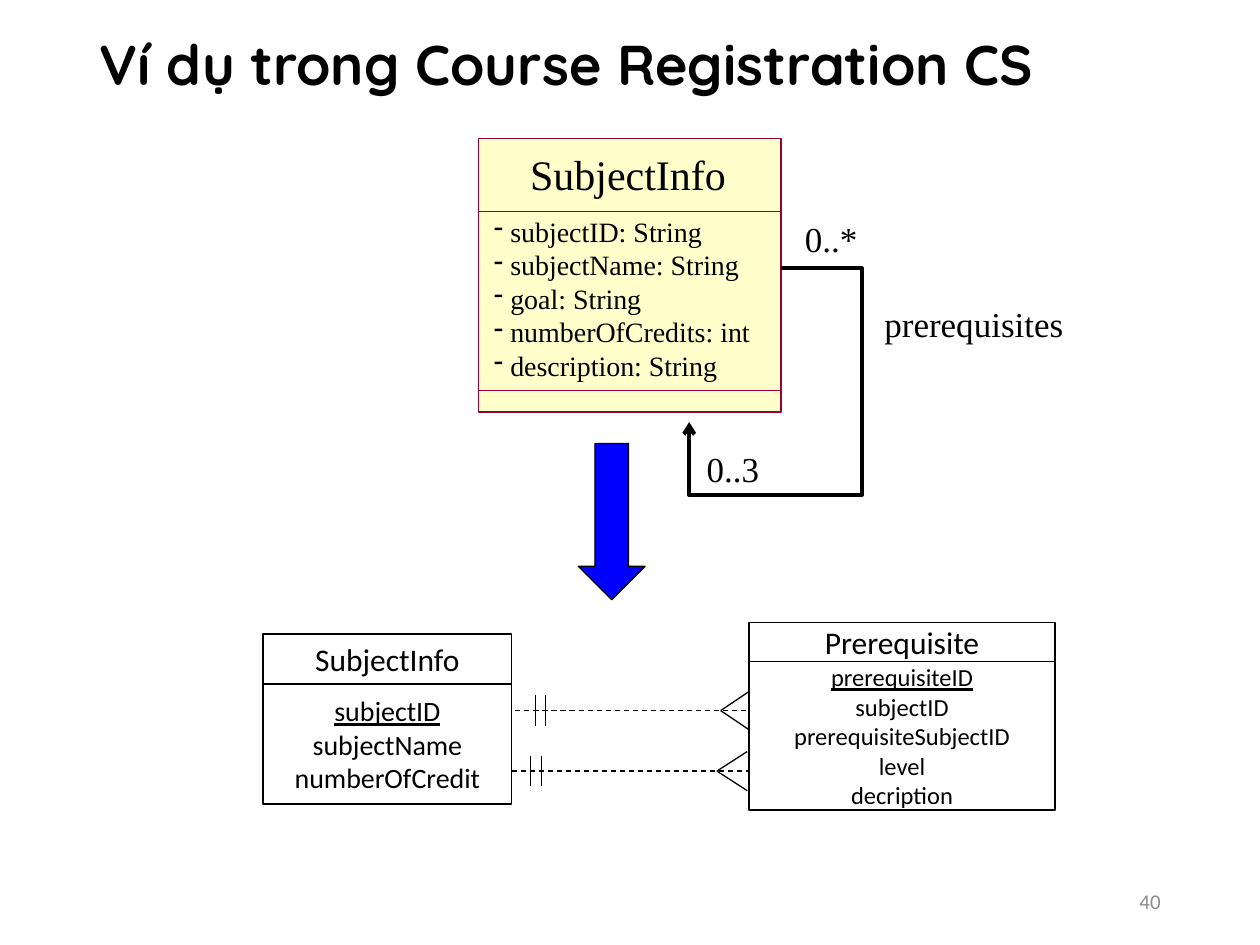
"""Build the slide mapping a self-associated class to two linked entities."""
from dataclasses import dataclass, field
from typing import Any

from pptx import Presentation
from pptx import util as u
from pptx.dml.color import RGBColor
from pptx.enum import dml, shapes, text
from pptx.oxml import ns, xmlchemy

COLUMNS, ROWS = 100, 75
WIDTH, HEIGHT = u.Inches(10), u.Inches(7.5)
BLACK = RGBColor(0x00, 0x00, 0x00)
WHITE = RGBColor(0xFF, 0xFF, 0xFF)
GREY = RGBColor(0x8C, 0x8C, 0x8C)
BLUE = RGBColor(0x00, 0x00, 0xFF)
CREAM = RGBColor(0xFF, 0xFF, 0xCC)
CRIMSON = RGBColor(0x99, 0x00, 0x33)
SANS, SERIF, DISPLAY = "Calibri", "Times New Roman", "Quicksand"
CENTER, RIGHT = text.PP_ALIGN.CENTER, text.PP_ALIGN.RIGHT
MIDDLE = text.MSO_ANCHOR.MIDDLE
RECTANGLE, ARROW = shapes.MSO_SHAPE.RECTANGLE, shapes.MSO_SHAPE.DOWN_ARROW
NO_INSETS = dict.fromkeys(
    ("margin_left", "margin_top", "margin_right", "margin_bottom"), 0)

Point = tuple[float, float]
Area = tuple[float, float, float, float]


@dataclass
class Label:
    area: Area
    lines: list[str]
    font: dict[str, Any]
    paragraph: dict[str, Any] = field(default_factory=dict)
    frame: dict[str, Any] = field(default_factory=dict)
    dashed: bool = False


@dataclass
class Entity:
    area: Area
    header: float
    name: str
    attributes: list[str]
    size: int


@dataclass
class Link:
    row: float
    start: float
    end: float
    apex: float
    foot: float
    ticks: tuple[float, float]


def x(column: float) -> int:
    return round(WIDTH * column / COLUMNS)


def y(row: float) -> int:
    return round(HEIGHT * row / ROWS)


def place(area: Area) -> tuple[int, int, int, int]:
    left, top, width, height = area
    return x(left), y(top), x(width), y(height)


def apply(target: Any, values: dict[str, Any]) -> None:
    for name, value in values.items():
        setattr(target, name, value)


def write(box: Any, lines: list[str], font: dict[str, Any],
          paragraph: dict[str, Any], frame: dict[str, Any],
          underlined: bool = False, dashed: bool = False) -> None:
    body = box.text_frame
    apply(body, {"word_wrap": True, **frame})
    for index, line in enumerate(lines):
        para = body.paragraphs[0] if index == 0 else body.add_paragraph()
        apply(para, paragraph)
        if dashed:
            properties = para._p.get_or_add_pPr()
            properties.set("marL", str(x(1.3)))
            properties.set("indent", str(-x(1.3)))
            bullet = xmlchemy.OxmlElement("a:buChar")
            bullet.set("char", "-")
            properties.append(bullet)
        span = para.add_run()
        span.text = line
        apply(span.font, {key: value for key, value in font.items() if key != "color"})
        span.font.color.rgb = font.get("color", BLACK)
        if underlined and index == 0:
            span.font.underline = True


def draw_label(page: Any, label: Label) -> None:
    box = page.shapes.add_textbox(*place(label.area))
    write(box, label.lines, label.font, label.paragraph, label.frame,
          dashed=label.dashed)


def draw_shape(canvas: Any, kind: Any, area: Area, fill: RGBColor | None,
               color: RGBColor, width: float) -> Any:
    shape = canvas.add_shape(kind, *place(area))
    shape.shadow.inherit = False
    if fill is None:
        shape.fill.background()
    else:
        shape.fill.solid()
        shape.fill.fore_color.rgb = fill
    shape.line.color.rgb = color
    shape.line.width = u.Pt(width)
    return shape


def draw_line(canvas: Any, start: Point, end: Point, dashed: bool = False) -> None:
    line = canvas.add_connector(shapes.MSO_CONNECTOR.STRAIGHT, x(start[0]),
                                y(start[1]), x(end[0]), y(end[1]))
    line.line.color.rgb = BLACK
    line.line.width = u.Pt(0.75)
    if dashed:
        line.line.dash_style = dml.MSO_LINE.DASH
    line._element.spPr.append(xmlchemy.OxmlElement("a:effectLst"))


def draw_route(page: Any, points: list[Point], arrow: bool = False) -> None:
    corners = [(x(column), y(row)) for column, row in points]
    builder = page.shapes.build_freeform(*corners[0])
    builder.add_line_segments(corners[1:], close=False)
    route = builder.convert_to_shape()
    route.shadow.inherit = False
    route.fill.background()
    route.line.color.rgb = BLACK
    route.line.width = u.Pt(2.25)
    if arrow:
        head = xmlchemy.OxmlElement("a:tailEnd")
        head.set("type", "arrow")
        route._element.spPr.find(ns.qn("a:ln")).append(head)


def draw_link(canvas: Any, link: Link) -> None:
    draw_line(canvas, (link.start, link.row), (link.end, link.row), dashed=True)
    for rise in (-1.55, 1.55):
        draw_line(canvas, (link.apex, link.row), (link.foot, link.row + rise))
    for tick in link.ticks:
        draw_line(canvas, (tick, link.row - 1.2), (tick, link.row + 1.2))


def draw_entity(canvas: Any, entity: Entity) -> None:
    left, top, width, height = entity.area
    split = entity.header
    cells = [((left, top, width, split), [entity.name], 18),
             ((left, top + split, width, height - split),
              entity.attributes, entity.size)]
    for index, (area, lines, size) in enumerate(cells):
        cell = draw_shape(canvas, RECTANGLE, area, WHITE, BLACK, 1)
        write(cell, lines, {"name": SANS, "size": u.Pt(size)},
              {"alignment": CENTER},
              {"word_wrap": False, "vertical_anchor": MIDDLE},
              underlined=index == 1)


LINKS = [Link(56.4, 40.9, 59.8, 57.2, 59.5, (42.5, 43.3)),
         Link(61.2, 40.6, 59.5, 56.9, 59.3, (42.1, 43))]
ENTITIES = [
    Entity((20.9, 50.3, 19.7, 13.5), 4, "SubjectInfo",
           ["subjectID", "subjectName", "numberOfCredit"], 16),
    Entity((59.45, 49.4, 24.3, 14.9), 3.1, "Prerequisite",
           ["prerequisiteID", "subjectID", "prerequisiteSubjectID",
            "level", "decription"], 14),
]
ROLE = {"name": SERIF, "size": u.Pt(20)}
LABELS = [
    Label((6.9, 1.3, 86.2, 8.1), ["Ví dụ trong Course Registration CS"],
          {"name": DISPLAY, "size": u.Pt(32), "bold": True},
          {"line_spacing": 0.9}, {"vertical_anchor": MIDDLE}),
    Label((39.2, 11.8, 21.3, 4), ["SubjectInfo"],
          {"name": SERIF, "size": u.Pt(24)}, {"alignment": CENTER}, NO_INSETS),
    Label((39.2, 17, 20.8, 13.5),
          ["subjectID: String", "subjectName: String", "goal: String",
           "numberOfCredits: int", "description: String"],
          {"name": SERIF, "size": u.Pt(16)}, frame=NO_INSETS, dashed=True),
    Label((62.9, 16.8, 9.7, 4.4), ["0..*"], ROLE),
    Label((55.1, 35, 8.3, 4.4), ["0..3"], ROLE),
    Label((69.2, 23.5, 17.5, 4.4), ["prerequisites"], ROLE),
    Label((70.6, 69.5, 22.5, 4), ["40"],
          {"name": SANS, "size": u.Pt(12), "color": GREY},
          {"alignment": RIGHT}, {"vertical_anchor": MIDDLE}),
]


def main() -> None:
    deck = Presentation()
    apply(deck, {"slide_width": WIDTH, "slide_height": HEIGHT})
    page = deck.slides.add_slide(deck.slide_layouts[6])
    diagram = page.shapes.add_group_shape().shapes
    for link in LINKS:
        draw_link(diagram, link)
    for entity in ENTITIES:
        draw_entity(diagram, entity)
    draw_shape(page.shapes, ARROW, (45.9, 35.2, 5.3, 12.4), BLUE, BLACK, 0.75)
    draw_route(page, [(68.4, 36.8), (68.4, 39.3), (54.7, 39.3), (54.7, 33.5)], arrow=True)
    draw_shape(page.shapes, RECTANGLE, (38, 11, 24, 21.7), CREAM, CRIMSON, 0)
    draw_shape(page.shapes, RECTANGLE, (38, 16.8, 24, 14.2), None, CRIMSON, 0)
    draw_route(page, [(68.4, 38.5), (68.4, 21.3), (62, 21.3)])
    for label in LABELS:
        draw_label(page, label)
    deck.save("out.pptx")


if __name__ == "__main__":
    main()
